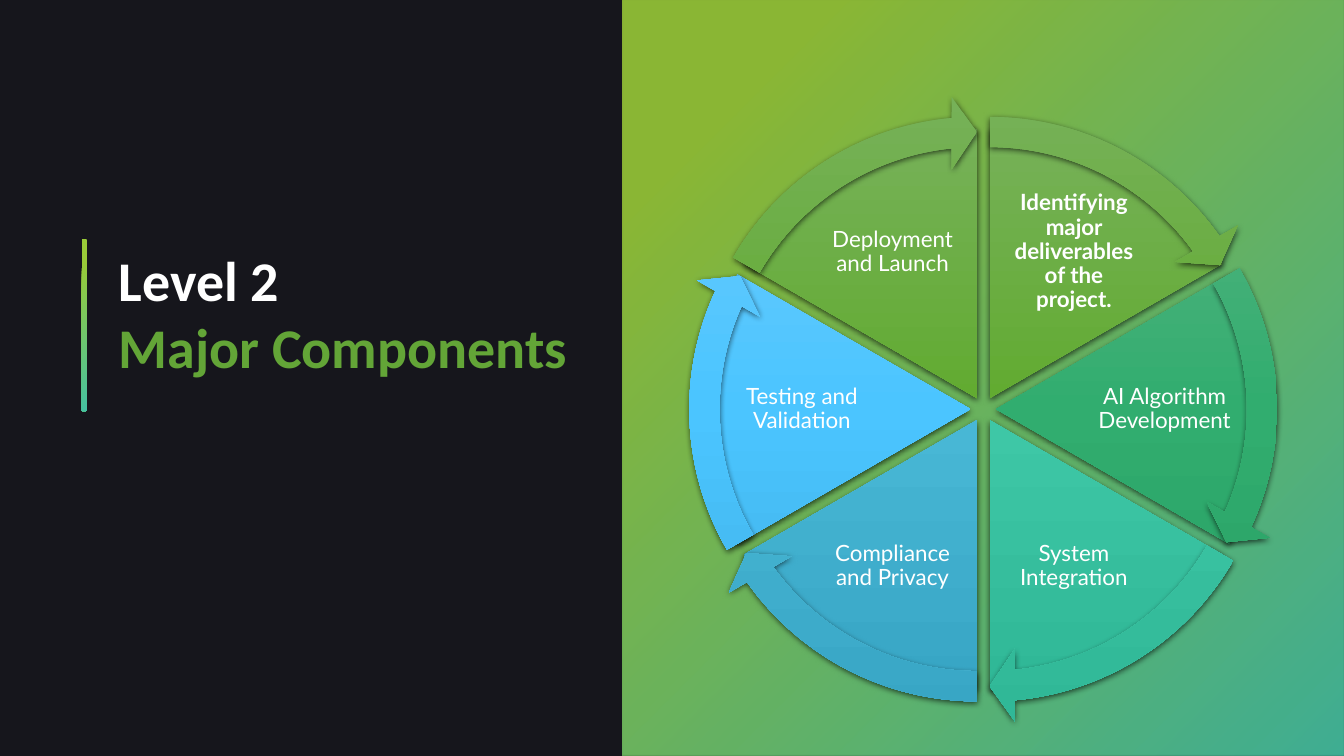
import math
import pptx
import pptx.util
import pptx.dml.color
import pptx.enum.shapes
import pptx.enum.text
import pptx.oxml
import pptx.oxml.ns
from dataclasses import dataclass

Cm, Pt = pptx.util.Cm, pptx.util.Pt
Kind = pptx.enum.shapes.MSO_SHAPE
Align = pptx.enum.text.PP_ALIGN
Anchor = pptx.enum.text.MSO_ANCHOR
Fit = pptx.enum.text.MSO_AUTO_SIZE


@dataclass(frozen=True)
class Theme:
    dark: str = "16161C"
    white: str = "FFFFFF"
    accent: str = "63A537"
    glow: tuple = ((0, "44C1A3"), (85, "99CB38"))
    green: tuple = ((0, "76B158"), (50, "62AB31"), (100, "569C27"))
    jade: tuple = ((0, "58B380"), (50, "31AD6F"), (100, "279E63"))
    teal: tuple = ((0, "61C8AD"), (50, "3EC7A6"), (100, "30B897"))
    sea: tuple = ((0, "68BBD5"), (50, "48B7D5"), (100, "38A6C5"))
    sky: tuple = ((0, "6BCAFC"), (50, "4BC5FF"), (100, "40B0E5"))
    head: str = "Calibri"
    body: str = "Lato"
    big: int = 40
    small: int = 16


DOWN = '<a:lin ang="5400000" scaled="0"/>'
CORNER = '<a:path path="circle"><a:fillToRect l="100000" t="100000"/></a:path>'


def rgb(code):
    return pptx.dml.color.RGBColor.from_string(code)


def node(text):
    return pptx.oxml.parse_xml(text.replace(">", f" {pptx.oxml.ns.nsdecls('a')}>", 1))


class Deck:
    def __init__(self, theme):
        self.theme = theme
        self.file = pptx.Presentation()
        self.file.slide_width, self.file.slide_height = Cm(33.87), Cm(19.05)
        self.slide = self.file.slides.add_slide(self.file.slide_layouts[5])
        back = self.slide.background.fill
        back.solid()
        back.fore_color.rgb = rgb(theme.dark)

    def shape(self, kind, box, stops, way=DOWN, alpha=100, adjust=(), shade=False):
        item = self.slide.shapes.add_shape(kind, *map(Cm, box))
        for i, value in enumerate(adjust):
            item.adjustments[i] = value
        item.line.fill.background()
        item.shadow.inherit = False
        # Gradient fill
        item.fill.background()
        props = item._element.spPr
        marks = "".join(
            f'<a:gs pos="{at * 1000}"><a:srgbClr val="{code}">'
            f'<a:alpha val="{alpha * 1000}"/></a:srgbClr></a:gs>'
            for at, code in stops)
        props.replace(props.find(pptx.oxml.ns.qn("a:noFill")), node(
            f'<a:gradFill rotWithShape="1"><a:gsLst>{marks}</a:gsLst>{way}</a:gradFill>'))
        # Soft shadow below the shape
        if shade:
            props.find(pptx.oxml.ns.qn("a:effectLst")).append(node(
                '<a:outerShdw blurRad="57150" dist="19050" dir="5400000" algn="ctr" '
                'rotWithShape="0"><a:srgbClr val="000000"><a:alpha val="63000"/>'
                '</a:srgbClr></a:outerShdw>'))

    def style(self, para, face, size, code, bold):
        para.font.name, para.font.size, para.font.bold = face, Pt(size), bold
        para.font.color.rgb = rgb(code)

    def title(self, box, lines):
        item = self.slide.shapes.title
        item.left, item.top, item.width, item.height = map(Cm, box)
        self.slide.shapes._spTree.append(item._element)
        frame = item.text_frame
        frame.text = "\n".join(text for text, code in lines)
        frame.word_wrap = True
        frame.auto_size = Fit.SHAPE_TO_FIT_TEXT
        frame.vertical_anchor = Anchor.TOP
        for para, (text, code) in zip(frame.paragraphs, lines):
            para.alignment = Align.LEFT
            self.style(para, self.theme.head, self.theme.big, code, True)

    def label(self, box, text, bold):
        frame = self.slide.shapes.add_textbox(*map(Cm, box)).text_frame
        frame.word_wrap = True
        frame.vertical_anchor = Anchor.MIDDLE
        frame.margin_left = frame.margin_right = Cm(0.05)
        frame.margin_top = frame.margin_bottom = Cm(0.05)
        frame.text = text
        para = frame.paragraphs[0]
        para.alignment, para.line_spacing = Align.CENTER, 0.9
        self.style(para, self.theme.body, self.theme.small, self.theme.white, bold)


def around(angle, reach, wide, high):
    """Box centred at a distance from the hub of the wheel."""
    turn = math.radians(angle)
    return (24.78 + reach * math.cos(turn) - wide / 2,
            10.31 + reach * math.sin(turn) - high / 2, wide, high)


def main():
    look = Theme()
    deck = Deck(look)

    # Panels, title and accent bar
    deck.shape(Kind.RECTANGLE, (0, 0.05, 15.7, 19.05),
               ((0, look.dark), (100, look.dark)), alpha=80)
    deck.shape(Kind.RECTANGLE, (15.7, 0, 18.17, 19.05), look.glow, CORNER, 88)
    deck.title((2.74, 6.05, 12.37, 3.68),
               (("Level 2", look.white), ("Major Components", look.accent)))
    deck.shape(Kind.ROUNDED_RECTANGLE, (2.06, 6.02, 0.13, 4.34), look.glow, CORNER)

    # Wheel: six equal parts, clockwise from the top
    parts = (
        ("Identifying major deliverables of the project.", look.green),
        ("AI Algorithm Development", look.jade),
        ("System Integration", look.teal),
        ("Compliance and Privacy", look.sea),
        ("Testing and Validation", look.sky),
        ("Deployment and Launch", look.green),
    )
    # Angle adjustments count 0.6 to the degree: 36 a part, 216 a turn
    step, full, tip = 36, 216, 3.275
    for i, (text, tint) in enumerate(parts):
        start = (162 + i * step) % full
        deck.shape(Kind.PIE, around(60 * i - 60, 0.32, 13.56, 13.56), tint,
                   adjust=(start, (start + step) % full), shade=True)
        deck.label(around(60 * i - 60, 4.57, 3.56, 2.74), text, i == 0)

    # Arrows along the rim
    for i, (text, tint) in enumerate(parts):
        start = (162 + i * step) % full
        deck.shape(Kind.CIRCULAR_ARROW, around(60 * i - 60, 0.32, 15.24, 15.24), tint,
                   adjust=(0.05, tip, (start + step - tip) % full, start, 0.06),
                   shade=True)

    deck.file.save("out.pptx")


if __name__ == "__main__":
    main()
